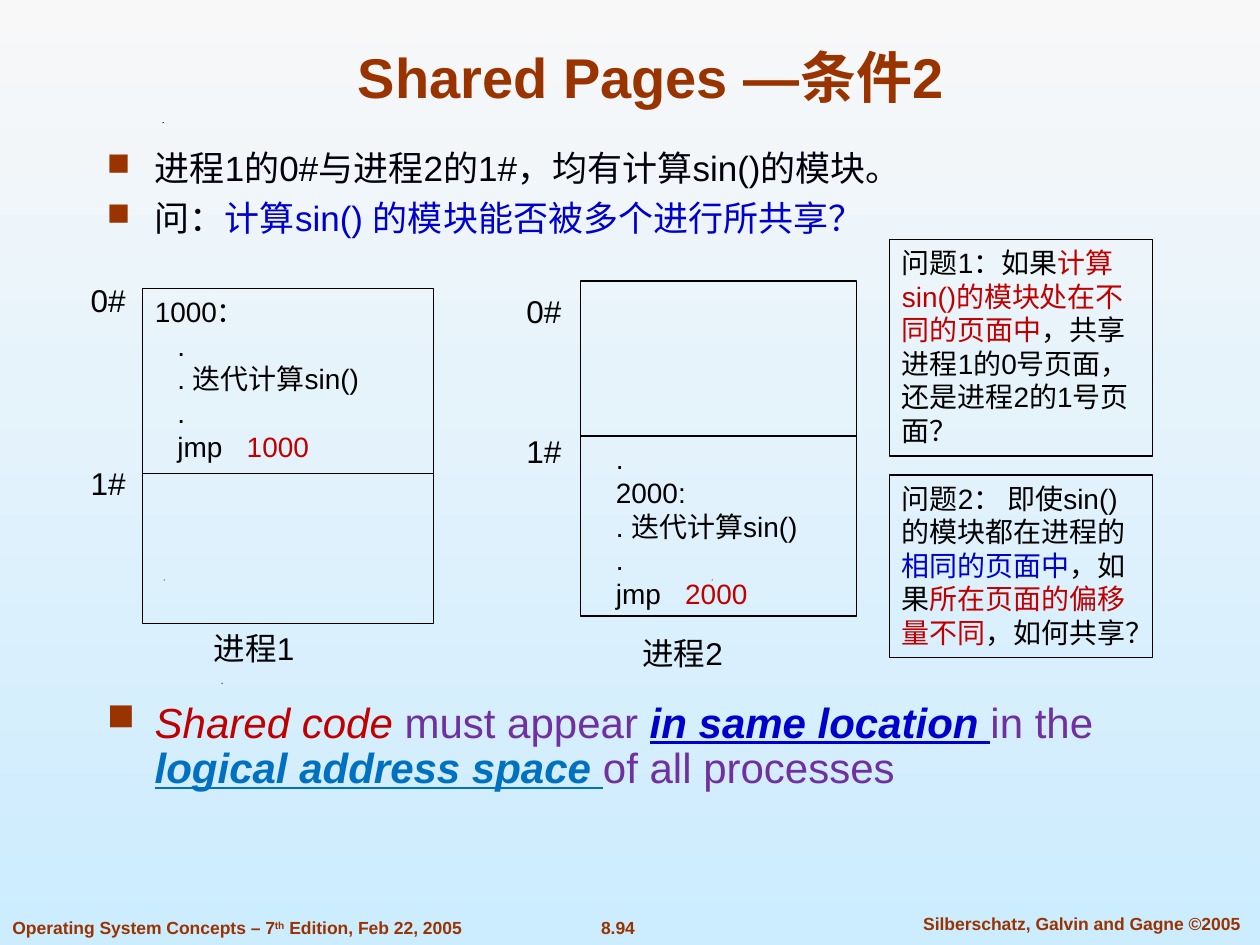
import pptx
import pptx.util
import pptx.dml.color
import pptx.enum.shapes
import pptx.enum.text
import pptx.oxml.ns
import lxml.etree

Inches = pptx.util.Inches
Pt = pptx.util.Pt
RGBColor = pptx.dml.color.RGBColor
ALIGN = pptx.enum.text.PP_ALIGN
ANCHOR = pptx.enum.text.MSO_ANCHOR
SHAPES = pptx.enum.shapes.MSO_SHAPE
qn = pptx.oxml.ns.qn

BLACK = RGBColor(0, 0, 0)
INK = RGBColor(0x00, 0x00, 0x0C)
BROWN = RGBColor(0x99, 0x33, 0x00)
RED = RGBColor(0xC0, 0x00, 0x00)
BLUE = RGBColor(0x00, 0x00, 0xCC)
SKY = RGBColor(0x00, 0x70, 0xC0)
PURPLE = RGBColor(0x70, 0x30, 0xA0)
SKY_TOP = RGBColor(0xF8, 0xF8, 0xF8)
SKY_BOTTOM = RGBColor(0xCC, 0xEC, 0xFF)


def lengths(box):
    return [Inches(value) for value in box]


def write_text(frame, paragraphs, size, align=ALIGN.LEFT, anchor=ANCHOR.TOP, bold=None, wrap=True):
    """Each paragraph is a list of (text, colour) or (text, colour, emphasis)."""
    frame.word_wrap = wrap
    frame.vertical_anchor = anchor
    for index, spans in enumerate(paragraphs):
        para = frame.add_paragraph() if index else frame.paragraphs[0]
        para.alignment = align
        para.font.name = "Arial"
        para.font.size = Pt(size)
        para.font.bold = bold
        for text, colour, *emphasis in spans:
            span = para.add_run()
            span.text = text
            span.font.color.rgb = colour
            if "italic" in emphasis:
                span.font.italic = True
            if "strong" in emphasis:
                span.font.bold = span.font.italic = span.font.underline = True
            if "superscript" in emphasis:
                span.font._element.set("baseline", "30000")


def add_text(page, box, paragraphs, size, **options):
    text_box = page.shapes.add_textbox(*lengths(box))
    write_text(text_box.text_frame, paragraphs, size, **options)
    return text_box.text_frame


def add_frame(page, box, paragraphs, **options):
    """Outlined rectangle with text inside."""
    frame = page.shapes.add_shape(SHAPES.RECTANGLE, *lengths(box))
    frame.shadow.inherit = False
    frame.fill.background()
    frame.line.color.rgb = BLACK
    frame.line.width = Pt(0.75)
    write_text(frame.text_frame, paragraphs, 16, **options)
    return frame.text_frame


def add_properties(para, *elements):
    """Put bullet or tab elements before the default run properties."""
    properties = para._p.get_or_add_pPr()
    defaults = properties.find(qn("a:defRPr"))
    for tag, attributes in elements:
        element = lxml.etree.Element(qn(tag), attributes)
        defaults.addprevious(element)
    return element


def bullet_list(page, box, paragraphs, size):
    frame = add_text(page, box, paragraphs, size)
    for para in frame.paragraphs:
        para.line_spacing = 0.9
        para.space_before = Pt(0.35 * size)
        properties = para._p.get_or_add_pPr()
        properties.set("marL", str(Inches(0.38)))
        properties.set("indent", str(-Inches(0.38)))
        add_properties(para, ("a:buClr", {}), ("a:buSzPct", {"val": "90000"}),
                       ("a:buChar", {"char": "■"}))
        colour = properties.find(qn("a:buClr"))
        lxml.etree.SubElement(colour, qn("a:srgbClr"), val=str(BROWN))


def process_diagram(page, box, divider, label_left, label_tops, code, anchor, name, name_at):
    """Two memory pages of a process, with code in one of them."""
    left, top, width, height = box
    frame = add_frame(page, box, code, anchor=anchor)
    for para in frame.paragraphs:
        tabs = add_properties(para, ("a:tabLst", {}))
        for position in (0.18, 0.73):
            lxml.etree.SubElement(tabs, qn("a:tab"), pos=str(Inches(position)), algn="l")

    line = page.shapes.add_connector(
        pptx.enum.shapes.MSO_CONNECTOR.STRAIGHT,
        *lengths((left, divider, left + width, divider)))
    line.line.color.rgb = BLACK
    line.line.width = Pt(0.75)
    lxml.etree.SubElement(line._element.spPr, qn("a:effectLst"))

    for label, label_top in zip(("0#", "1#"), label_tops):
        add_text(page, (label_left, label_top, 0.58, 0.4), [[(label, BLACK)]], 18)
    add_text(page, (*name_at, 1.2, 0.4), [[(name, BLACK)]], 18)


def background(page):
    fill = page.background.fill
    fill.gradient()
    fill.gradient_angle = 270
    for stop, colour in zip(fill.gradient_stops, (SKY_TOP, SKY_BOTTOM)):
        stop.color.rgb = colour
    # Tiny specks of the backdrop
    for left, top in ((1.76, 5.42), (1.3, 4.6), (5.65, 4.6), (1.29, 0.97)):
        builder = page.shapes.build_freeform(Inches(left), Inches(top + 0.01))
        builder.add_line_segments([lengths((left + 0.01, top)), lengths((left, top))])
        speck = builder.convert_to_shape()
        speck.shadow.inherit = False
        speck.fill.solid()
        speck.fill.fore_color.rgb = BLACK
        speck.line.fill.background()


def footer(page):
    add_text(page, (0, 7.23, 4.21, 0.27),
             [[("Operating System Concepts – 7", BROWN), ("th", BROWN, "superscript"),
               (" Edition, Feb 22, 2005", BROWN)]], 10, bold=True, wrap=False)
    add_text(page, (4.64, 7.23, 0.53, 0.27), [[("8.94", BROWN)]], 10,
             align=ALIGN.CENTER, bold=True, wrap=False)
    add_text(page, (7.1, 7.2, 2.97, 0.27),
             [[("Silberschatz, Galvin and Gagne ©2005", BROWN)]], 10,
             align=ALIGN.CENTER, bold=True)


def main():
    deck = pptx.Presentation()
    deck.slide_width, deck.slide_height = Inches(10), Inches(7.5)
    page = deck.slides.add_slide(deck.slide_layouts[6])
    background(page)
    footer(page)

    # Title and opening points
    add_text(page, (0.75, 0.25, 8.83, 0.67), [[("Shared Pages —条件2", BROWN)]], 32,
             align=ALIGN.CENTER, anchor=ANCHOR.BOTTOM, bold=True)
    bullet_list(page, (0.75, 1.15, 8.16, 0.83), [
        [("进程1的0#与进程2的1#，均有计算sin()的模块。", INK)],
        [("问：", INK), ("计算sin() 的模块能否被多个进行所共享？", BLUE)],
    ], 20)

    # Memory of the two processes
    dot = [("\t.", BLACK)]
    compute = [("\t. 迭代计算sin()", BLACK)]
    jump = ("\tjmp\t", BLACK)
    process_diagram(page, (1.13, 2.29, 2.31, 2.66), 3.76, 0.62, (2.18, 3.63),
                    [[("1000：", BLACK)], dot, compute, dot, [jump, ("1000", RED)]],
                    ANCHOR.TOP, "进程1", (1.6, 4.94))
    process_diagram(page, (4.61, 2.23, 2.19, 2.66), 3.46, 4.08, (2.27, 3.38),
                    [dot, [("\t2000:", BLACK)], compute, dot, [jump, ("2000", RED)]],
                    ANCHOR.BOTTOM, "进程2", (5, 4.98))

    # Questions
    add_frame(page, (7.06, 1.9, 2.09, 1.72), [[
        ("问题1：如果", BLACK), ("计算sin()的模块处在不同的页面中", RED),
        ("，共享进程1的0号页面，还是进程2的1号页面？", BLACK)]])
    add_frame(page, (7.06, 3.77, 2.09, 1.45), [[
        ("问题2： 即使sin()的模块都在进程的", BLACK), ("相同的页面中", BLUE),
        ("，如果", BLACK), ("所在页面的偏移量不同", RED), ("，如何共享？", BLACK)]])

    # Conclusion
    bullet_list(page, (0.75, 5.52, 8.16, 1.01), [[
        ("Shared code ", RED, "italic"), ("must appear ", PURPLE),
        ("in same location ", BLUE, "strong"), ("in the ", PURPLE),
        ("logical address space ", SKY, "strong"), ("of all processes", PURPLE)]], 24)

    deck.save("out.pptx")


if __name__ == "__main__":
    main()
